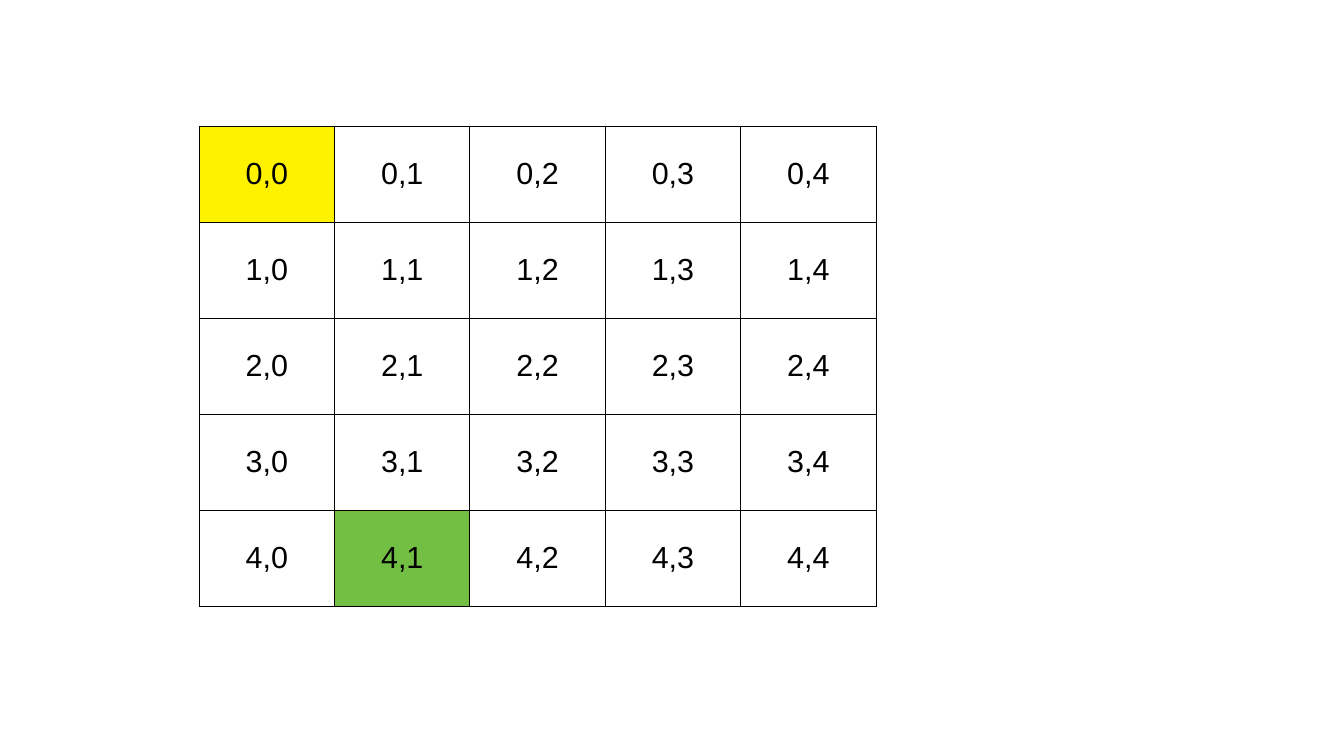
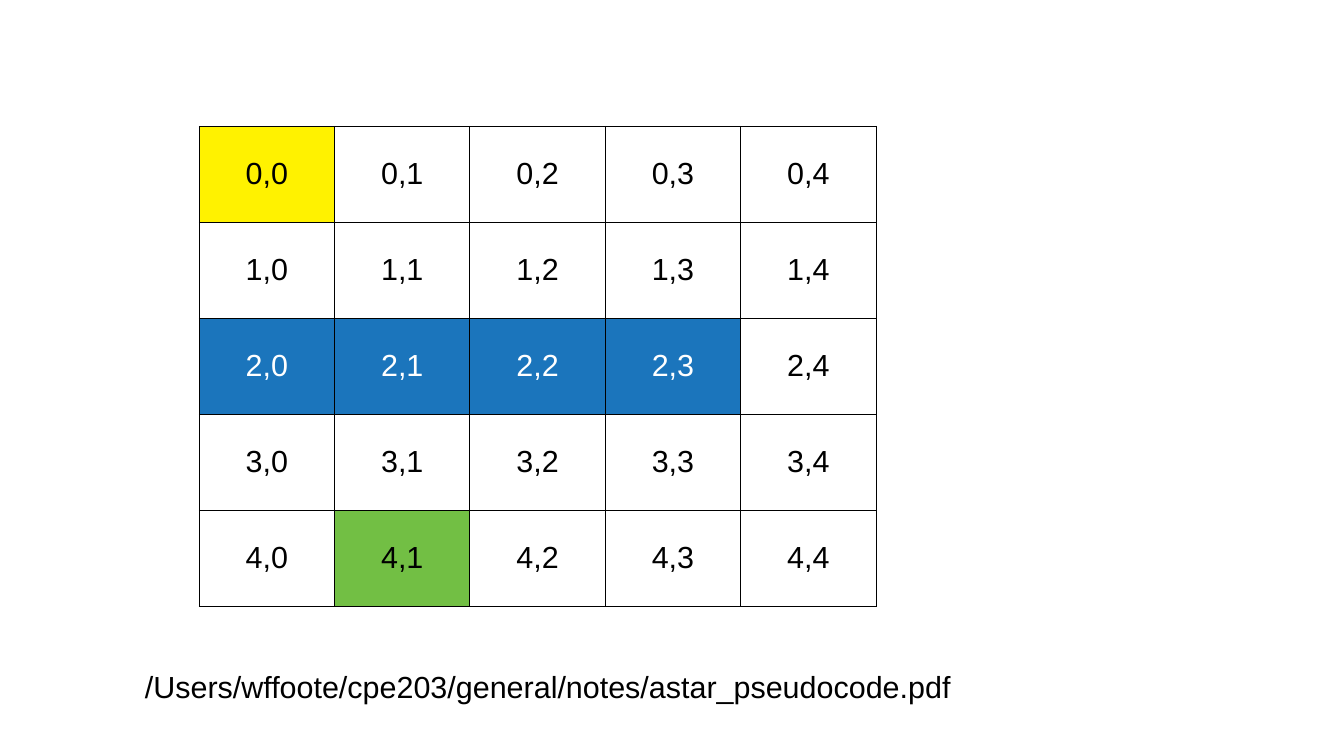
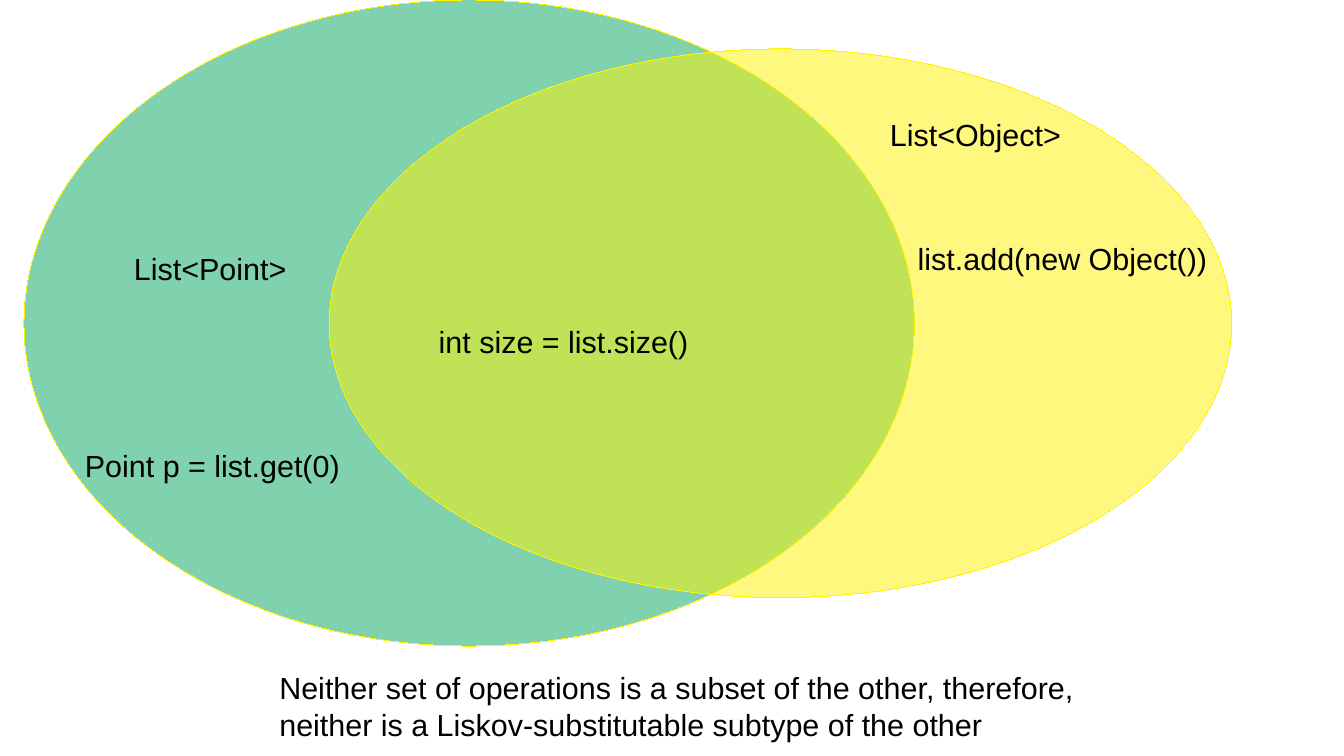
"""Build three slides: two search grids and a Venn diagram of list types."""
from lxml.etree import SubElement
from pptx import Presentation
from pptx.dml.color import RGBColor
from pptx.enum.shapes import MSO_SHAPE
from pptx.enum.text import MSO_ANCHOR, MSO_AUTO_SIZE, PP_ALIGN
from pptx.oxml.ns import qn
from pptx.util import Cm, Pt

COLORS = {
    "black": "000000",
    "white": "FFFFFF",
    "yellow": "FFF200",
    "lime": "72BF44",
    "green": "00A65D",
    "blue": "1B75BC",
}
FONT = "Arial"
GRID_SIZE = 5
COLUMN_WIDTH, ROW_HEIGHT = 2.82, 2


def write_text(frame, text, color="black", align=PP_ALIGN.LEFT, size=18):
    for index, line in enumerate(text.split("\n")):
        para = frame.add_paragraph() if index else frame.paragraphs[0]
        para.alignment = align
        span = para.add_run()
        span.text = line
        span.font.name = FONT
        span.font.size = Pt(size)
        span.font.color.rgb = RGBColor.from_string(COLORS[color])


def add_label(page, text, left, top, width, height=0.97):
    box = page.shapes.add_textbox(Cm(left), Cm(top), Cm(width), Cm(height))
    box.text_frame.word_wrap = True
    box.text_frame.auto_size = MSO_AUTO_SIZE.SHAPE_TO_FIT_TEXT
    write_text(box.text_frame, text)


deck = Presentation()
deck.slide_width, deck.slide_height = Cm(28), Cm(15.75)
blank_layout = deck.slide_layouts[6]

endpoints = {(0, 0): "yellow", (4, 1): "lime"}
wall = {(2, column): "blue" for column in range(4)}

for highlights in (endpoints, endpoints | wall):
    page = deck.slides.add_slide(blank_layout)
    grid = page.shapes.add_table(
        GRID_SIZE, GRID_SIZE, Cm(4.15), Cm(2.63),
        Cm(GRID_SIZE * COLUMN_WIDTH), Cm(GRID_SIZE * ROW_HEIGHT),
    ).table
    grid.first_row = grid.horz_banding = False
    for row in range(GRID_SIZE):
        grid.rows[row].height = Cm(ROW_HEIGHT)
        grid.columns[row].width = Cm(COLUMN_WIDTH)
        for column in range(GRID_SIZE):
            cell = grid.cell(row, column)
            cell.vertical_anchor = MSO_ANCHOR.MIDDLE
            cell.margin_left = cell.margin_right = Cm(0.1)
            cell.margin_top = cell.margin_bottom = Cm(0.13)
            properties = cell._tc.get_or_add_tcPr()
            for side in ("a:lnL", "a:lnR", "a:lnT", "a:lnB"):
                border = SubElement(properties, qn(side), w=str(Pt(0.57)))
                border_fill = SubElement(border, qn("a:solidFill"))
                SubElement(border_fill, qn("a:srgbClr"), val=COLORS["black"])
            fill_color = highlights.get((row, column), "white")
            cell.fill.solid()
            cell.fill.fore_color.rgb = RGBColor.from_string(COLORS[fill_color])
            write_text(
                cell.text_frame, f"{row},{column}", align=PP_ALIGN.CENTER,
                color="white" if fill_color == "blue" else "black",
            )

add_label(page, "/Users/wffoote/cpe203/general/notes/astar_pseudocode.pdf",
          2.77, 13.8, 20.1, 1.2)

page = deck.slides.add_slide(blank_layout)
for color, left, top, width, height in (
    ("green", 0.5, 0, 18.55, 13.46),
    ("yellow", 6.86, 1.02, 18.8, 11.43),
):
    ellipse = page.shapes.add_shape(
        MSO_SHAPE.OVAL, Cm(left), Cm(top), Cm(width), Cm(height))
    ellipse.shadow.inherit = False
    ellipse.fill.solid()
    ellipse.fill.fore_color.rgb = RGBColor.from_string(COLORS[color])
    fill_element = ellipse.element.spPr.find(qn("a:solidFill"))
    SubElement(fill_element[0], qn("a:alpha"), val="50000")
    ellipse.line.color.rgb = RGBColor.from_string(COLORS["yellow"])
    ellipse.line.width = Pt(0.01)

for text, left, top, width in (
    ("List<Point>", 2.54, 5.08, 4),
    ("List<Object>", 18.29, 2.29, 4.4),
    ("list.add(new Object())", 18.87, 4.88, 7),
    ("Point p = list.get(0)", 1.52, 9.19, 6.2),
    ("int size = list.size()", 8.89, 6.6, 6.1),
):
    add_label(page, text, left, top, width)

add_label(page, "Neither set of operations is a subset of the other, therefore,\n"
          "neither is a Liskov-substitutable subtype of the other",
          5.57, 13.82, 17.4, 1.68)

deck.save("out.pptx")
